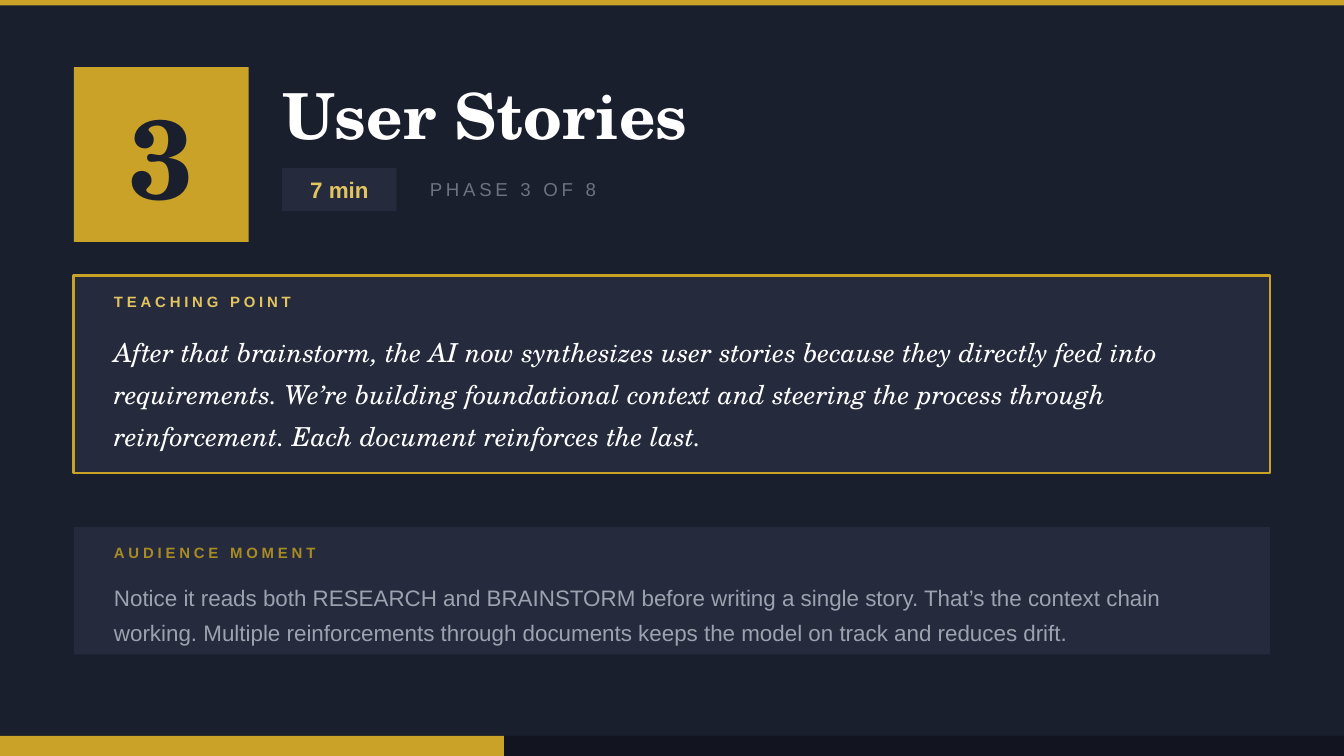
from pptx import Presentation
from pptx.dml.color import RGBColor
from pptx.enum.shapes import MSO_SHAPE
from pptx.enum.text import MSO_ANCHOR, PP_ALIGN
from pptx.util import Inches, Pt

PHASE, TOTAL = 3, 8
TITLE = "User Stories"
TIME = "7 min"
PANELS = [
    dict(top=2.05, height=1.47, edge="gold", label="TEACHING POINT",
         hue="light", style="quote", body_h=0.7, spacing=1.35,
         body="After that brainstorm, the AI now synthesizes user stories "
              "because they directly feed into requirements. We’re building "
              "foundational context and steering the process through "
              "reinforcement. Each document reinforces the last."),
    dict(top=3.92, height=0.95, edge=None, label="AUDIENCE MOMENT",
         hue="dim", style="note", body_h=0.55, spacing=1.3,
         body="Notice it reads both RESEARCH and BRAINSTORM before writing a "
              "single story. That’s the context chain working. Multiple "
              "reinforcements through documents keeps the model on track and "
              "reduces drift."),
]

SERIF, SANS = "TeX Gyre Schola", "Arial"
THEME = {
    "colors": dict(back="1A1F2E", gold="C9A227", light="E3C560", dim="A88B22",
                   panel="252B3D", track="12151F", white="FFFFFF",
                   gray="6B7280", soft="9CA3AF"),
    # font, size, color, bold, italic, letter spacing in points
    "styles": dict(
        number=(SERIF, 60, "back", True, False, 0),
        title=(SERIF, 34, "white", True, False, 0),
        time=(SANS, 12, "light", True, False, 0),
        phase=(SANS, 10, "gray", False, False, 2),
        label=(SANS, 8, "light", True, False, 2),
        quote=(SERIF, 14, "white", False, True, 0),
        note=(SANS, 12, "soft", False, False, 0),
    ),
}
WIDTH = 10
HEIGHT = WIDTH * 9 / 16
LEFT, INDENT = 0.55, 0.2
HEAD_TOP, HEAD_LEFT = 0.5, 2.1
BAR = 0.15


def color(name):
    return RGBColor.from_string(THEME["colors"][name])


def write(shape, text, style, hue=None, align=PP_ALIGN.LEFT,
          anchor=MSO_ANCHOR.MIDDLE, spacing=None):
    face, size, tone, bold, italic, track = THEME["styles"][style]
    frame = shape.text_frame
    frame.word_wrap = True
    frame.vertical_anchor = anchor
    para = frame.paragraphs[0]
    para.alignment = align
    if spacing:
        para.line_spacing = spacing
    font = para.font
    font.name, font.size = face, Pt(size)
    font.bold, font.italic = bold, italic
    font.color.rgb = color(hue or tone)
    run = para.add_run()
    run.text = text
    if track:
        run._r.get_or_add_rPr().set("spc", str(track * 100))


def block(slide, x, y, w, h, fill, edge=None):
    shape = slide.shapes.add_shape(MSO_SHAPE.RECTANGLE, *map(Inches, (x, y, w, h)))
    shape.shadow.inherit = False
    shape.fill.solid()
    shape.fill.fore_color.rgb = color(fill)
    if edge:
        shape.line.color.rgb = color(edge)
        shape.line.width = Pt(1.5)
    else:
        shape.line.fill.background()
    return shape


def words(slide, x, y, w, h, text, style, **opts):
    box = slide.shapes.add_textbox(*map(Inches, (x, y, w, h)))
    write(box, text, style, **opts)
    return box


def header(slide):
    square = block(slide, LEFT, HEAD_TOP, 1.3, 1.3, "gold")
    write(square, str(PHASE), "number", align=PP_ALIGN.CENTER)
    title = words(slide, HEAD_LEFT, HEAD_TOP, WIDTH - LEFT - HEAD_LEFT, 0.7,
                  TITLE, "title").text_frame
    title.margin_left = title.margin_right = 0
    title.margin_top = title.margin_bottom = 0
    badge = block(slide, HEAD_LEFT, 1.25, 0.85, 0.32, "panel")
    write(badge, TIME, "time", align=PP_ALIGN.CENTER)
    words(slide, HEAD_LEFT + 1, 1.25, 2, 0.32,
          f"PHASE {PHASE} OF {TOTAL}", "phase")


def panel(slide, top, height, edge, label, hue, style, body_h, spacing, body):
    block(slide, LEFT, top, WIDTH - 2 * LEFT, height, "panel", edge)
    x = LEFT + INDENT
    words(slide, x, top + 0.08, 2, 0.22, label, "label", hue=hue)
    words(slide, x, top + 0.32, WIDTH - 2 * x, body_h, body, style,
          anchor=MSO_ANCHOR.TOP, spacing=spacing)


def main():
    deck = Presentation()
    deck.slide_width, deck.slide_height = Inches(WIDTH), Inches(HEIGHT)
    slide = deck.slides.add_slide(deck.slide_layouts[6])
    slide.background.fill.solid()
    slide.background.fill.fore_color.rgb = color("back")
    block(slide, 0, 0, WIDTH, 0.04, "gold")
    header(slide)
    for item in PANELS:
        panel(slide, **item)
    for share, fill in ((1, "track"), (PHASE / TOTAL, "gold")):
        block(slide, 0, HEIGHT - BAR, WIDTH * share, BAR, fill)
    deck.save("out.pptx")


if __name__ == "__main__":
    main()
